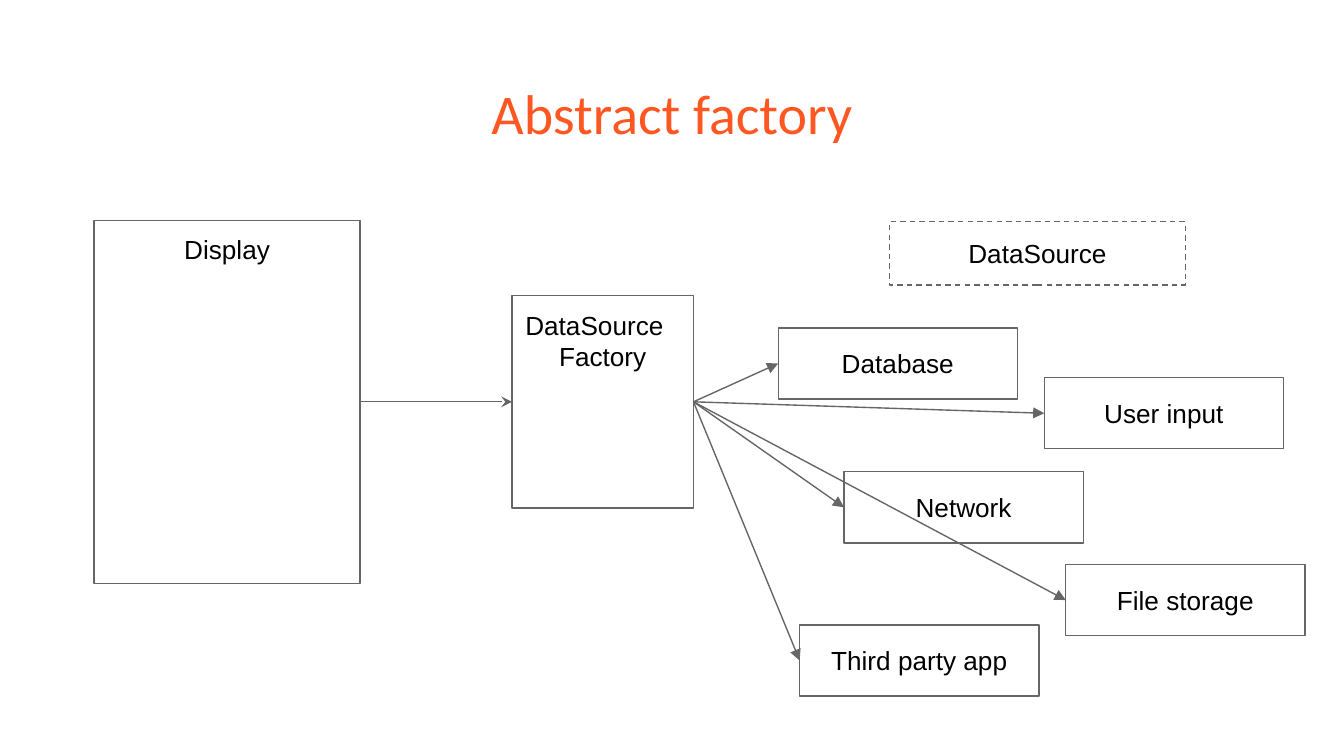
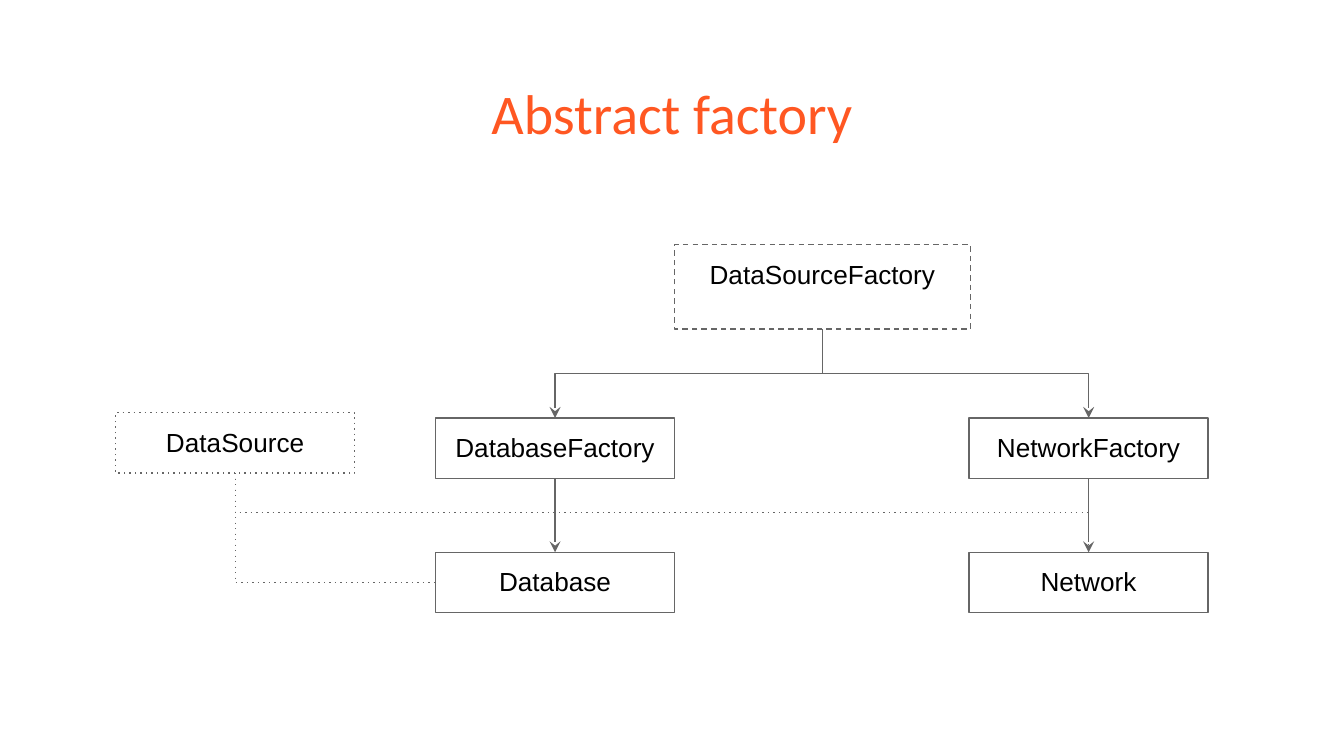
from dataclasses import dataclass

from lxml.etree import SubElement
from pptx import Presentation
from pptx.dml.color import RGBColor
from pptx.dml.line import LineFormat
from pptx.enum.shapes import MSO_CONNECTOR as Route, MSO_SHAPE as Form
from pptx.enum.text import MSO_ANCHOR as Anchor, MSO_AUTO_SIZE as Fit, PP_ALIGN as Align
from pptx.oxml.ns import qn
from pptx.shapes.autoshape import Shape
from pptx.shapes.connector import Connector
from pptx.slide import Slide
from pptx.text.text import Font, TextFrame
from pptx.util import Inches, Pt

WIDTH = Inches(10)
HEIGHT = WIDTH * 9 // 16
COL, ROW = WIDTH / 100, HEIGHT / 56.25
ORANGE, GREY, BLACK = "FF5722", "666666", "000000"
TOP, LEFT, BOTTOM, RIGHT = range(4)


@dataclass(frozen=True)
class Box:
    text: str
    col: float
    row: float
    cols: float = 17.8
    rows: float = 4.5
    dash: str = "solid"
    anchor: Anchor = Anchor.TOP
    aligns: tuple[Align, ...] = (Align.CENTER,)


@dataclass(frozen=True)
class Link:
    start: str
    exit: int
    end: str
    entry: int
    head: str = "none"
    dash: str = "solid"
    form: str = "line"


def paint(code: str) -> RGBColor:
    return RGBColor.from_string(code)


def place(shape: Shape, col: float, row: float, cols: float, rows: float) -> None:
    shape.left, shape.top = round(col * COL), round(row * ROW)
    shape.width, shape.height = round(cols * COL), round(rows * ROW)


def style(font: Font, name: str, size: int, code: str) -> None:
    font.name, font.size = name, Pt(size)
    font.color.rgb = paint(code)


def pad(frame: TextFrame, anchor: Anchor) -> None:
    frame.word_wrap, frame.auto_size = True, Fit.NONE
    frame.vertical_anchor = anchor
    frame.margin_left = frame.margin_right = Inches(0.1)
    frame.margin_top = frame.margin_bottom = Inches(0.1)


def stroke(shape: Shape | Connector, dash: str, head: str = "none") -> None:
    line: LineFormat = shape.line
    line.color.rgb, line.width = paint(GREY), Pt(0.75)
    edge = shape.element.spPr.find(qn("a:ln"))
    SubElement(edge, qn("a:prstDash")).set("val", dash)
    SubElement(edge, qn("a:tailEnd")).set("type", head)


def draw_box(slide: Slide, box: Box) -> Shape:
    shape = slide.shapes.add_shape(Form.RECTANGLE, 0, 0, 0, 0)
    place(shape, box.col, box.row, box.cols, box.rows)
    shape.shadow.inherit = False
    shape.fill.background()
    stroke(shape, box.dash)
    frame = shape.text_frame
    pad(frame, box.anchor)
    frame.text = box.text
    for para, align in zip(frame.paragraphs, box.aligns):
        para.alignment = align
        style(para.font, "Arial", 14, BLACK)
    return shape


def bend(wire: Connector, form: str) -> None:
    """Turn an elbow so that it leaves its start downwards."""
    across, down = wire.end_x - wire.begin_x, wire.end_y - wire.begin_y
    mid_x, mid_y = wire.begin_x + across / 2, wire.begin_y + down / 2
    wire.width, wire.height = down, abs(across)
    wire.left, wire.top = round(mid_x - down / 2), round(mid_y - abs(across) / 2)
    wire.rotation = 270 if across > 0 else 90
    wire.element.spPr.find(qn("a:xfrm")).set("flipH", "1" if across > 0 else "0")
    wire.element.spPr.find(qn("a:prstGeom")).set("prst", form)


def draw_link(slide: Slide, link: Link, shapes: dict[str, Shape]) -> None:
    route = Route.STRAIGHT if link.form == "line" else Route.ELBOW
    wire = slide.shapes.add_connector(route, 0, 0, 0, 0)
    wire.begin_connect(shapes[link.start], link.exit)
    wire.end_connect(shapes[link.end], link.entry)
    if route == Route.ELBOW:
        bend(wire, link.form)
    stroke(wire, link.dash, link.head)
    SubElement(wire.element.spPr, qn("a:effectLst"))


def draw_slide(deck: Presentation, boxes: list[Box], links: list[Link]) -> None:
    slide = deck.slides.add_slide(deck.slide_layouts[5])
    title = slide.shapes.title
    place(title, 3.4, 4.87, 93.2, 6.3)
    pad(title.text_frame, Anchor.TOP)
    title.text_frame.text = "Abstract factory"
    para = title.text_frame.paragraphs[0]
    para.alignment = Align.CENTER
    style(para.font, "Calibri", 30, ORANGE)
    shapes = {box.text: draw_box(slide, box) for box in boxes}
    for link in links:
        draw_link(slide, link, shapes)


def main() -> None:
    deck = Presentation()
    deck.slide_width, deck.slide_height = WIDTH, HEIGHT

    maker = "DataSource\nFactory"
    spots = {
        "Database": (57.9, 24.4),
        "Network": (62.8, 35.1),
        "User input": (77.7, 28.1),
        "File storage": (79.3, 42),
        "Third party app": (59.5, 46.5),
    }
    boxes = [
        Box("Display", 7, 16.4, 19.8, 27),
        Box("DataSource", 66.2, 16.5, 22, 4.7, "dash", Anchor.MIDDLE),
        *(Box(name, *spot, rows=5.3, anchor=Anchor.MIDDLE) for name, spot in spots.items()),
        Box(maker, 38.1, 22, 13.5, 15.8, aligns=(Align.LEFT, Align.CENTER)),
    ]
    links = [
        Link("Display", RIGHT, maker, LEFT, "stealth"),
        *(Link(maker, RIGHT, name, LEFT, "triangle") for name in spots),
    ]
    draw_slide(deck, boxes, links)

    root, source = "DataSourceFactory", "DataSource"
    kinds = {"Database": 32.4, "Network": 72.1}
    boxes = [
        Box(root, 50.2, 18.2, 22, 6.3, "dash"),
        *(Box(f"{kind}Factory", col, 31.1) for kind, col in kinds.items()),
        *(Box(kind, col, 41.1) for kind, col in kinds.items()),
        Box(source, 8.6, 30.7, dash="dot"),
    ]
    links = [
        *(Link(root, BOTTOM, f"{kind}Factory", TOP, "stealth", form="bentConnector3")
          for kind in kinds),
        *(Link(f"{kind}Factory", BOTTOM, kind, TOP, "stealth") for kind in kinds),
        Link(source, BOTTOM, "Network", TOP, dash="dot", form="bentConnector3"),
        Link(source, BOTTOM, "Database", LEFT, dash="dot", form="bentConnector2"),
    ]
    draw_slide(deck, boxes, links)
    deck.save("out.pptx")


if __name__ == "__main__":
    main()
